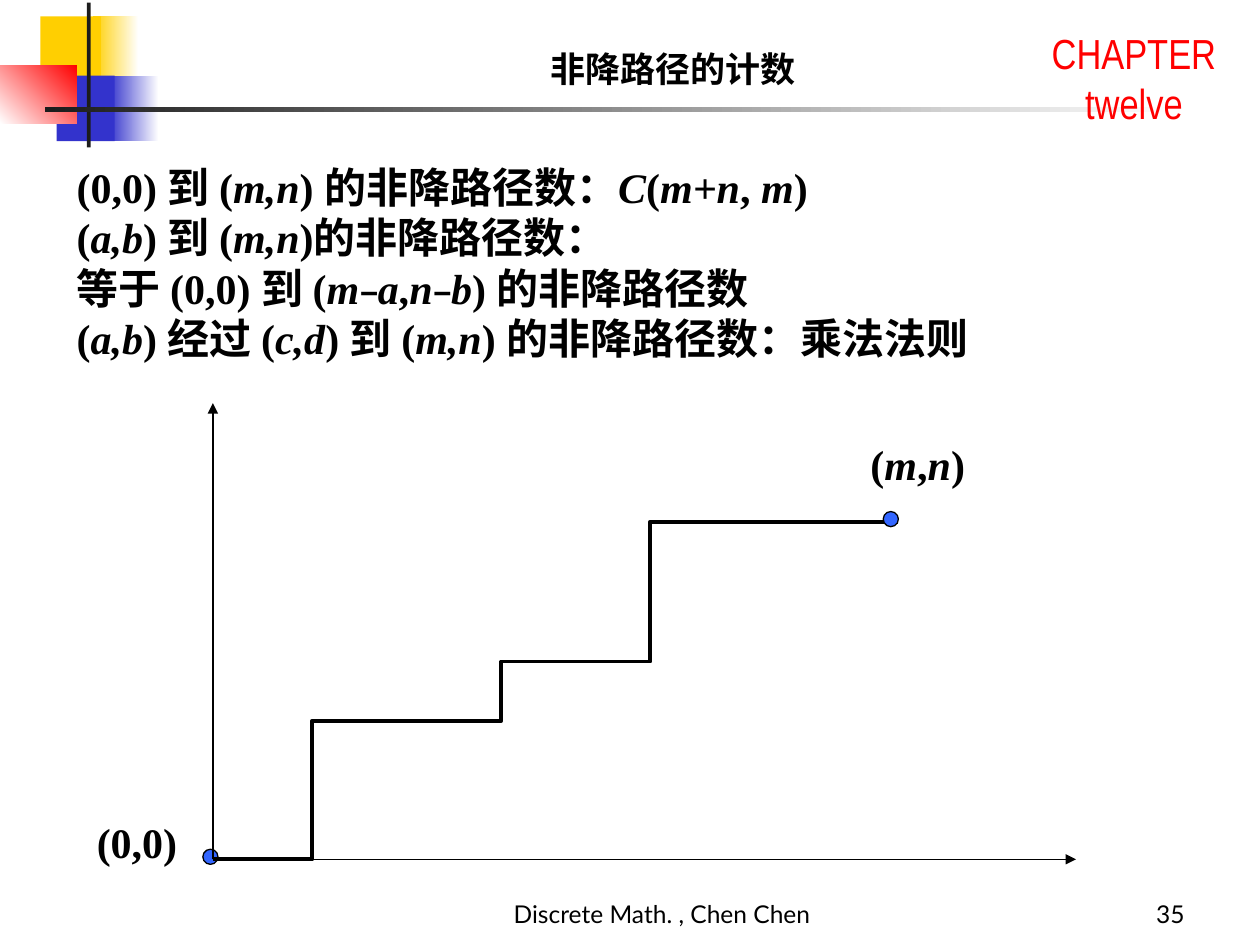
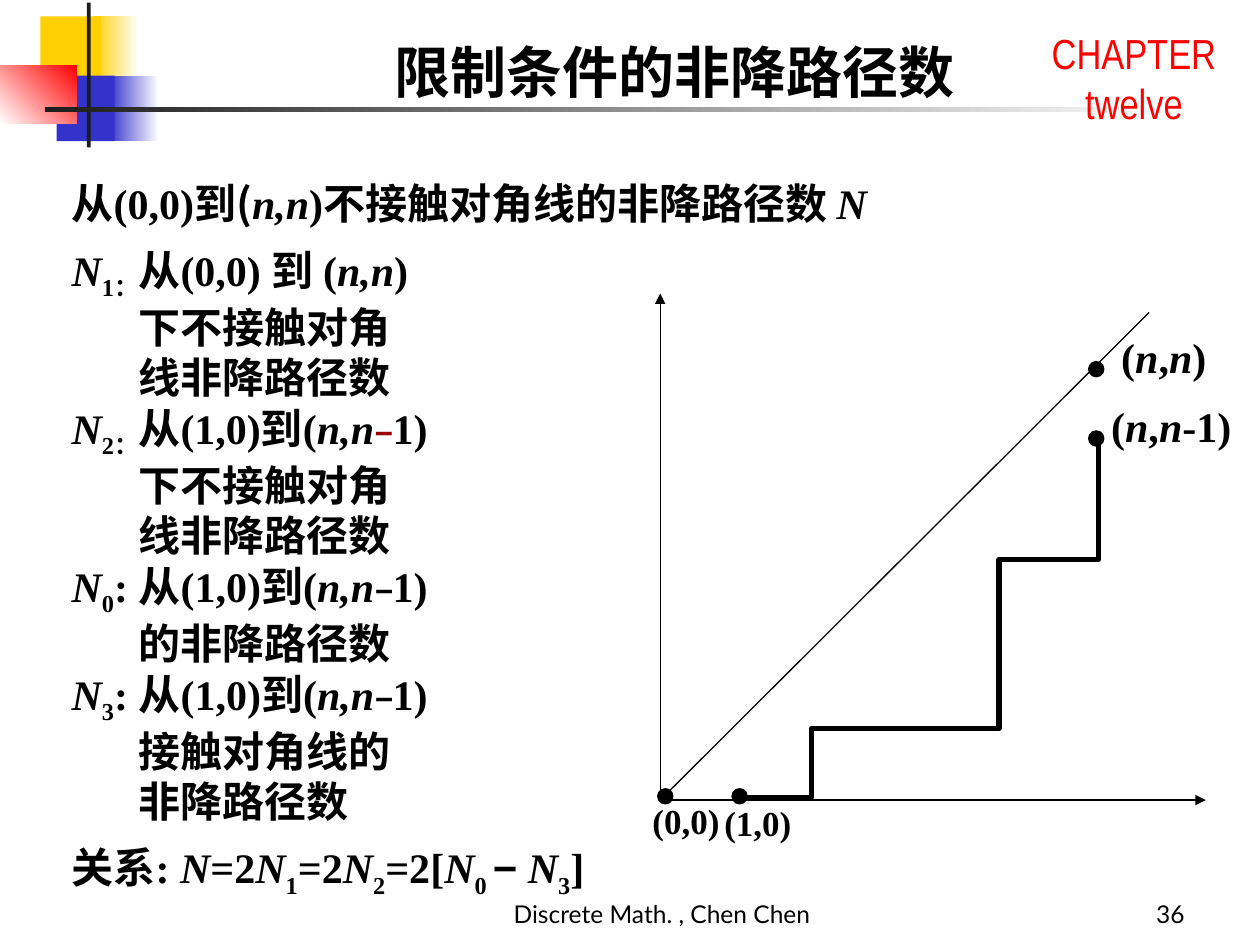
from itertools import groupby
from lxml.etree import SubElement
from pptx import Presentation
from pptx.dml.color import RGBColor as Rgb
from pptx.enum.shapes import MSO_CONNECTOR as Link, MSO_SHAPE as Kind
from pptx.enum.text import MSO_ANCHOR as Anchor, PP_ALIGN as Align
from pptx.oxml.ns import qn
from pptx.util import Pt

PX = 9144
INK = {"white": "FFFFFF", "black": "000000", "gold": "FFCF01", "navy": "3333CC",
       "red": "FF0000", "dark": "1C1C1C", "blue": "3366FF", "wine": "990000"}
SERIF, SANS, HAN = "Times New Roman", "Arial", "Noto Sans CJK SC"
MARKS = "*_~@"
DOT = 12


def emu(*sizes):
    return [size * PX for size in sizes]


def color(name):
    return Rgb.from_string(INK[name])


def style(run, marks):
    font = run.font
    if "*" in marks:
        font.italic = True
    if "_" in marks:
        run._r.get_or_add_rPr().set("baseline", "-25000")
    if "~" in marks:
        font.color.rgb = color("wine")
    if "@" in marks:
        font.name = HAN
    if "−" in marks:
        font.name = SANS
        if "*" in marks:
            font.size = Pt(18)


def fill_runs(par, text):
    marks, chars = frozenset(), []
    for char in text:
        if char in MARKS:
            marks ^= {char}
        else:
            chars.append((marks | ({"−"} & {char}), char))
    for marks, group in groupby(chars, lambda pair: pair[0]):
        run = par.add_run()
        run.text = "".join(char for _, char in group)
        style(run, marks)


def write(slide, box, lines, size=24, face=SERIF, bold=True, ink="black",
          align=Align.LEFT, anchor=Anchor.TOP):
    frame = slide.shapes.add_textbox(*emu(*box)).text_frame
    frame.word_wrap = True
    frame.vertical_anchor = anchor
    for row, text in enumerate(lines):
        par = frame.add_paragraph() if row else frame.paragraphs[0]
        par.alignment = align
        font = par.font
        font.size, font.name, font.bold = Pt(size), face, bold
        font.color.rgb = color(ink)
        SubElement(font._rPr, qn("a:ea")).set("typeface", HAN)
        fill_runs(par, text)
    return frame.paragraphs


def block(slide, box, ink, fade=None, angle=180):
    shape = slide.shapes.add_shape(Kind.RECTANGLE, *emu(*box))
    shape.shadow.inherit = False
    shape.line.fill.background()
    if fade:
        shape.fill.gradient()
        shape.fill.gradient_angle = angle
        for stop, name in zip(shape.fill.gradient_stops, (ink, fade)):
            stop.color.rgb = color(name)
    else:
        shape.fill.solid()
        shape.fill.fore_color.rgb = color(ink)


def stroke(shape, width):
    shape.line.color.rgb = color("black")
    shape.line.width = Pt(width)


def dot(slide, x, y, ink):
    shape = slide.shapes.add_shape(Kind.OVAL, *emu(x, y, DOT, DOT))
    shape.shadow.inherit = False
    shape.fill.solid()
    shape.fill.fore_color.rgb = color(ink)
    stroke(shape, 0.75)


def line(slide, start, end, arrow=False):
    link = slide.shapes.add_connector(Link.STRAIGHT, *emu(*start, *end))
    stroke(link, 0.75)
    if arrow:
        SubElement(link.line._get_or_add_ln(), qn("a:tailEnd")).set("type", "triangle")
    SubElement(link._element.spPr, qn("a:effectLst"))


def axes(slide, box):
    left, top, width, height = box
    base = top + height
    line(slide, (left, base), (left + width, base), True)
    line(slide, (left, base), (left, top), True)


def stairs(slide, x, y, steps, width):
    pen = slide.shapes.build_freeform(x, y, scale=PX)
    points = []
    for turn, step in enumerate(steps):
        x, y = (x, y - step) if turn % 2 else (x + step, y)
        points.append((x, y))
    pen.add_line_segments(points, close=False)
    path = pen.convert_to_shape()
    path.shadow.inherit = False
    path.fill.background()
    stroke(path, width)


def label(slide, x, y, width, text, size=24):
    write(slide, (x, y, width, 50 if size == 24 else 44), [text], size)


def banner(slide):
    block(slide, (74, 13, 36, 52), "white", "gold")
    block(slide, (86, 60, 40, 52), "white", "navy")
    block(slide, (32, 13, 48, 52), "gold")
    block(slide, (45, 60, 46, 52), "navy")
    block(slide, (0, 52, 61, 46), "red", "white", 225)
    block(slide, (69, 2, 3, 115), "dark")
    block(slide, (36, 85, 900, 4), "white", "dark")
    write(slide, (800, 17, 200, 90), ["CHAPTER twelve"], face="Arial Narrow",
          bold=False, ink="red", align=Align.CENTER)


def footer(slide, number):
    look = {"size": 14, "face": "Lato", "bold": False, "anchor": Anchor.BOTTOM}
    write(slide, (367, 692, 317, 50), ["Discrete Math. , Chen Chen"],
          align=Align.CENTER, **look)
    write(slide, (742, 692, 208, 50), [str(number)], align=Align.RIGHT, **look)


def path_plot(slide, box):
    left, top, width, height = box
    base = top + height
    dot(slide, left - 8, base - 8, "blue")
    axes(slide, box)
    stairs(slide, left, base, (79, 110, 150, 47, 118, 111, 197), 2.25)
    dot(slide, left + 532, top + 86, "blue")
    label(slide, left + 512, top + 23, 105, "(*m*,*n*)")
    label(slide, left - 102, base - 39, 94, "(0,0)")


def limit_plot(slide, box):
    left, top, width, height = box
    base = top + height
    axes(slide, box)
    line(slide, (left + 2, base - 2), (left + 388, top + 15))
    for x, y in ((-2, 393), (57, 393), (340, 54), (340, 109)):
        dot(slide, left + x, top + y, "black")
    stairs(slide, left + 65, base - 2, (55, 55, 149, 134, 79, 94), 3)
    label(slide, left - 16, base - 5, 83, "(0,0)", 20)
    label(slide, left + 41, base - 4, 83, "(1,0)", 20)
    label(slide, left + 348, top + 80, 125, "(*n*,*n*-1)")
    label(slide, left + 356, top + 25, 100, "(*n*,*n*)")


def count_slide(slide):
    write(slide, (108, 17, 852, 59), ["非降路径的计数"], 20, "Montserrat",
          align=Align.CENTER, anchor=Anchor.BOTTOM)
    write(slide, (51, 123, 850, 170), [
        "(0,0) 到 (*m,n*) 的非降路径数：*C*(*m+n*, *m*)",
        "(*a,b*) 到 (*m,n*)的非降路径数：",
        "等于 (0,0) 到 (*m−a*,*n−b*) 的非降路径数",
        "(*a,b*) 经过 (*c,d*) 到 (*m,n*) 的非降路径数：乘法法则",
    ], anchor=Anchor.MIDDLE)
    path_plot(slide, (169, 320, 685, 362))


def limit_slide(slide):
    pars = write(slide, (47, 136, 715, 583), [
        "@从@(0,0)@到(@*n,n*)@不接触对角线的非降路径数 @*N*",
        "*N*_1：_从(0,0) 到 (*n,n*)",
        "下不接触对角",
        "线非降路径数",
        "*N*_2：_从(1,0)到(*n,n~−~*1)",
        "下不接触对角",
        "线非降路径数",
        "*N*_0_: 从(1,0)到(*n,n−*1)",
        "的非降路径数",
        "*N*_3_: 从(1,0)到(*n,n−*1)",
        "接触对角线的",
        "非降路径数",
        "关系: *N*=2*N*_1_=2*N*_2_=2[*N*_0 _− *N*_3_]",
    ], anchor=Anchor.MIDDLE)
    for row in (1, 12):
        pars[row].space_before = Pt(9)
    for row in (2, 3, 5, 6, 8, 10, 11):
        pars[row]._p.get_or_add_pPr().set("marL", str(53 * PX))
    limit_plot(slide, (524, 233, 433, 402))
    write(slide, (201, 25, 669, 64), ["限制条件的非降路径数"], 32, SANS,
          align=Align.CENTER)


def main():
    deck = Presentation()
    deck.slide_width, deck.slide_height = emu(1000, 750)
    for number, build in enumerate((count_slide, limit_slide), 35):
        slide = deck.slides.add_slide(deck.slide_layouts[6])
        banner(slide)
        build(slide)
        footer(slide, number)
    deck.save("out.pptx")


if __name__ == "__main__":
    main()
